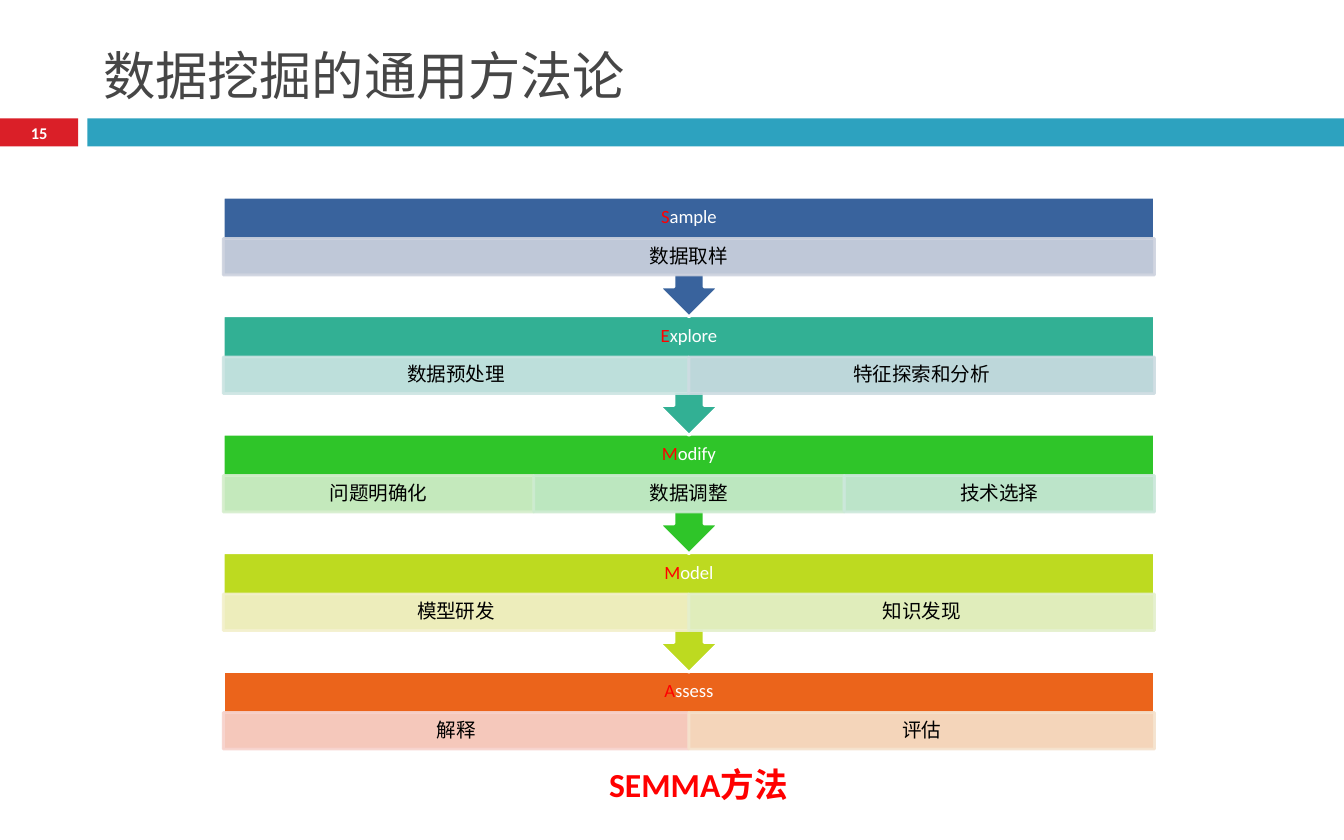
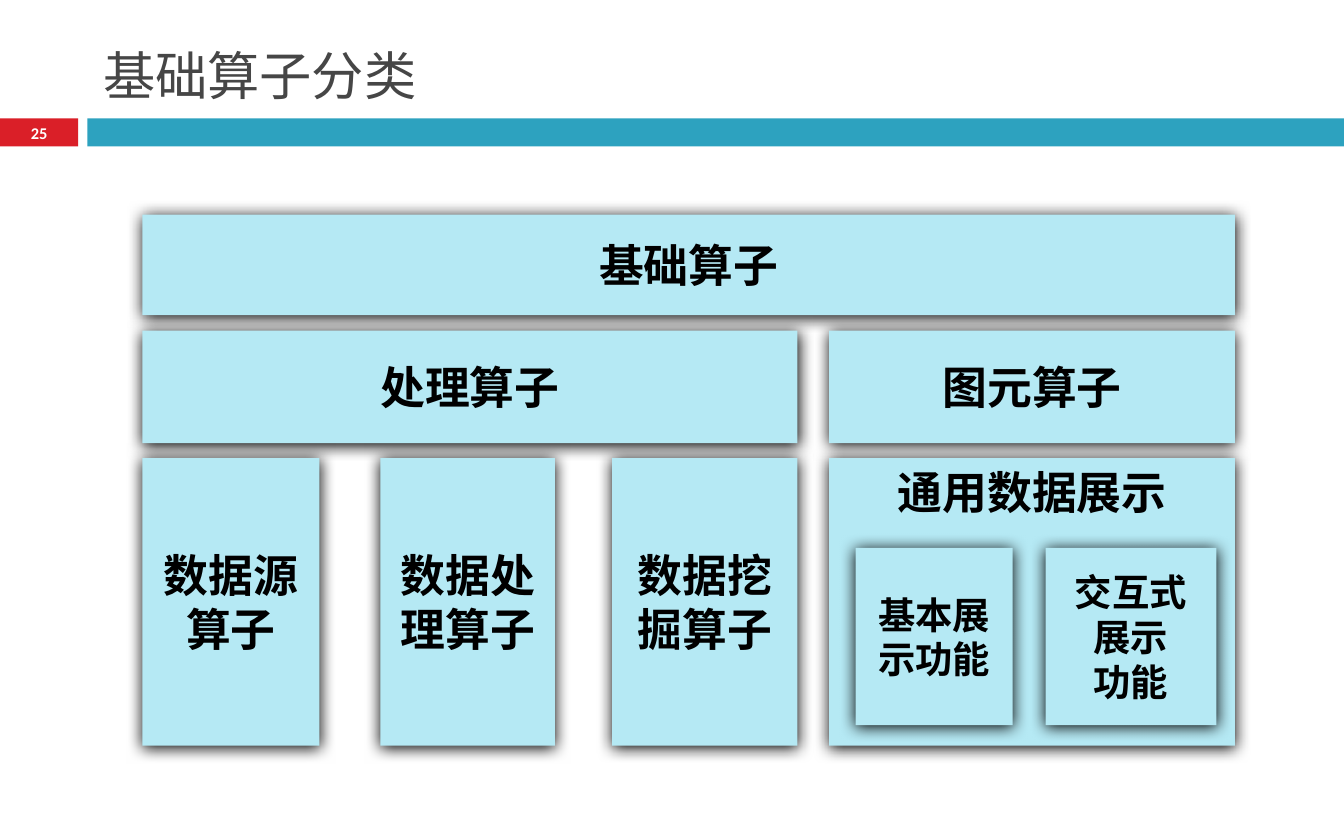
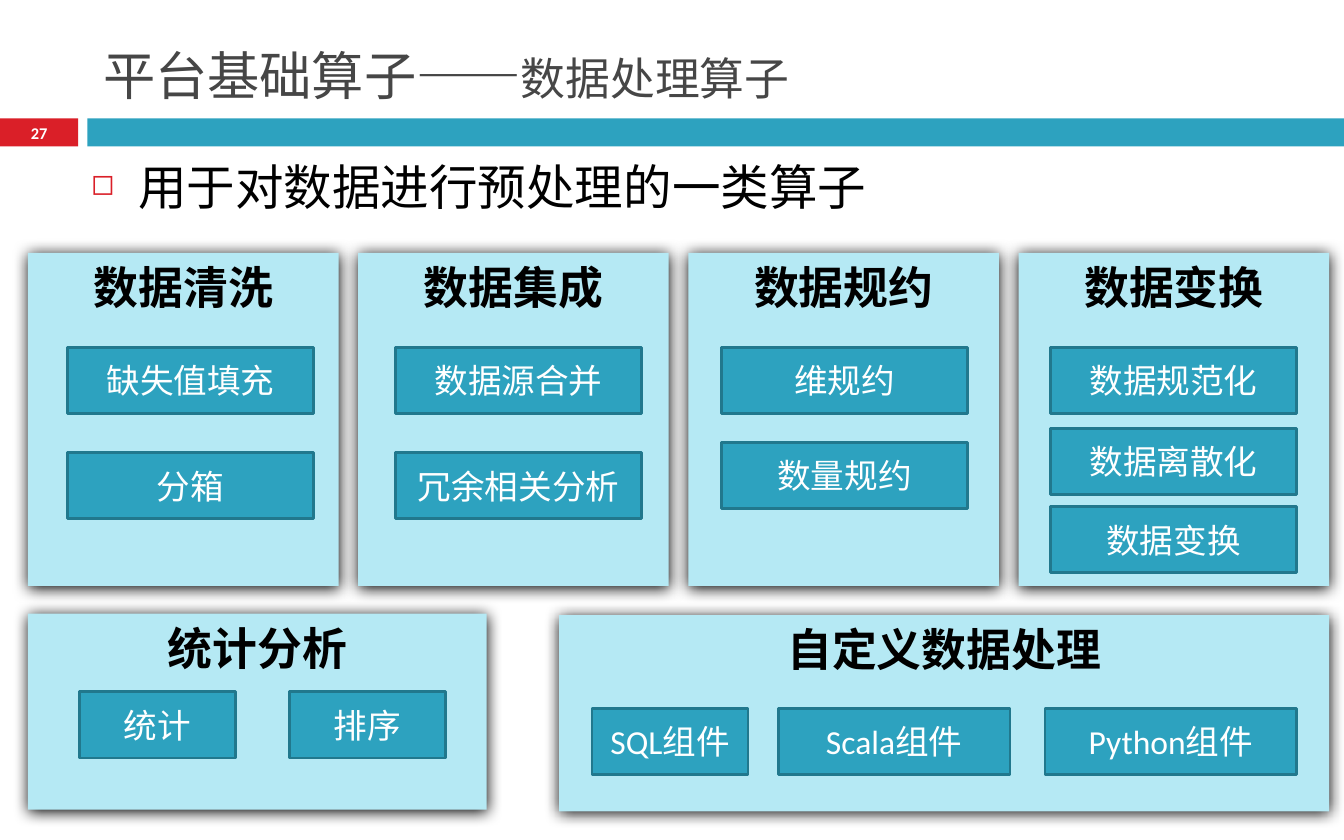
from pptx import Presentation
from pptx.dml.color import RGBColor
from pptx.enum.shapes import MSO_SHAPE
from pptx.enum.text import MSO_ANCHOR, PP_ALIGN
from pptx.oxml.ns import qn
from pptx.util import Cm, Pt
from lxml import etree

RECT, CALLOUT = MSO_SHAPE.RECTANGLE, MSO_SHAPE.UP_ARROW_CALLOUT
TOP, MIDDLE, BOTTOM = MSO_ANCHOR.TOP, MSO_ANCHOR.MIDDLE, MSO_ANCHOR.BOTTOM
LEFT, CENTER = PP_ALIGN.LEFT, PP_ALIGN.CENTER

# Shared style; all lengths are in cm
LATIN, CJK = "Calibri", "Noto Sans CJK SC"
RED, TEAL, TEAL_DARK, PALE = "DA1F28", "2DA2BF", "21788D", "B5E9F4"
WHITE, BLACK, GREY, BRIGHT_RED = "FFFFFF", "000000", "464646", "FF0000"
INSETS = (0.25, 0.13)

# Slide 15: step name, colour, details as (text, tint)
SEMMA_STEPS = [
    ("Sample", "39639D", [("数据取样", "CED3DF")]),
    ("Explore", "32B094", [("数据预处理", "CDE5E3"), ("特征探索和分析", "CDDCE2")]),
    ("Modify", "2FC529", [("问题明确化", "D5EECC"), ("数据调整", "CCEBD0"),
                          ("技术选择", "CCE8DB")]),
    ("Model", "BDDA20", [("模型研发", "F3F0CC"), ("知识发现", "E4F0CC")]),
    ("Assess", "EB641B", [("解释", "F7D3CD"), ("评估", "F5E2CC")]),
]
STEP_LEFT, STEP_TOP, STEP_WIDTH, STEP_PITCH = 4.22, 3.73, 17.6, 2.24
CALLOUT_HEIGHT, LAST_HEIGHT = 2.26, 1.47
HEADER_HEIGHT, DETAIL_HEIGHT = 0.78, 0.69

# Slide 25: lines, box, text size, anchor
OPERATOR_CARDS = [
    (["基础算子"], (2.69, 4.06, 20.65, 1.9), 24, MIDDLE),
    (["处理算子"], (2.69, 6.25, 12.38, 2.13), 24, MIDDLE),
    (["数据源", "算子"], (2.69, 8.66, 3.35, 5.44), 24, MIDDLE),
    (["数据处理算子"], (7.19, 8.66, 3.3, 5.44), 24, MIDDLE),
    (["数据挖掘算子"], (11.57, 8.66, 3.5, 5.44), 24, MIDDLE),
    (["图元算子"], (15.67, 6.25, 7.67, 2.13), 24, MIDDLE),
    (["通用数据展示"], (15.67, 8.66, 7.67, 5.44), 24, TOP),
    (["基本展示功能"], (16.17, 10.36, 2.97, 3.35), 20, MIDDLE),
    (["交互式展示", "功能"], (19.76, 10.36, 3.23, 3.35), 20, MIDDLE),
]

# Slide 27: upper panels as title, button left, buttons (text, top)
UPPER_PANELS = [
    ("数据清洗", 1.27, [("缺失值填充", 6.57), ("分箱", 8.56)]),
    ("数据集成", 7.47, [("数据源合并", 6.57), ("冗余相关分析", 8.56)]),
    ("数据规约", 13.63, [("维规约", 6.57), ("数量规约", 8.36)]),
    ("数据变换", 19.85, [("数据规范化", 6.57), ("数据离散化", 8.1), ("数据变换", 9.58)]),
]
PANEL_LEFT, PANEL_TOP, PANEL_WIDTH, PANEL_HEIGHT, PANEL_PITCH = 0.53, 4.78, 5.87, 6.3, 6.24
BUTTON_WIDTH, BUTTON_HEIGHT = 4.66, 1.25
# Lower panels as title, box, button top, buttons (text, left, width)
LOWER_PANELS = [
    ("统计分析", (0.53, 11.6, 8.67, 3.71), 13.08,
     [("统计", 1.5, 2.95), ("排序", 5.47, 2.95)]),
    ("自定义数据处理", (10.57, 11.63, 14.55, 3.71), 13.39,
     [("SQL组件", 11.19, 2.95), ("Scala组件", 14.71, 4.38), ("Python组件", 19.75, 4.76)]),
]


def rgb(color):
    return RGBColor.from_string(color)


def add_xml(parent, tag, **attributes):
    return etree.SubElement(parent, qn(tag), attributes)


def add_shape(shapes, box, fill, line=None, kind=RECT, alpha=None):
    sp = shapes.add_shape(kind, *map(Cm, box))
    sp.shadow.inherit = False
    sp.fill.solid()
    sp.fill.fore_color.rgb = rgb(fill)
    if line:
        sp.line.color.rgb = rgb(line)
        sp.line.width = Pt(1.5)
    else:
        sp.line.fill.background()
    if alpha:
        for color in sp.element.spPr.iter(qn("a:srgbClr")):
            add_xml(color, "a:alpha", val=str(alpha * 1000))
    return sp


def write(sp, lines, font=LATIN, bold=False, align=CENTER, anchor=MIDDLE,
          insets=INSETS, spacing=None):
    """Fill a shape with lines, each a list of (text, size, colour) runs."""
    tf = sp.text_frame
    tf.word_wrap = True
    tf.vertical_anchor = anchor
    tf.margin_left = tf.margin_right = Cm(insets[0])
    tf.margin_top = tf.margin_bottom = Cm(insets[1])
    for i, runs in enumerate(lines):
        p = tf.add_paragraph() if i else tf.paragraphs[0]
        p.alignment = align
        if spacing:
            p.line_spacing = spacing
        for text, size, color in runs:
            r = p.add_run()
            r.text = text
            r.font.size, r.font.bold, r.font.name = Pt(size), bold, font
            r.font.color.rgb = rgb(color)
            add_xml(r.font._element, "a:ea", typeface=CJK)
    return tf


def add_text(shapes, box, lines, **style):
    return write(shapes.add_textbox(*map(Cm, box)), lines, **style)


def add_card(s, lines, box, size=24, anchor=TOP):
    sp = add_shape(s.shapes, box, PALE)
    effects = sp.element.spPr.find(qn("a:effectLst"))
    shadow = add_xml(effects, "a:outerShdw", blurRad=str(Pt(8.5)), dist=str(Pt(1)),
                     dir="5400000", algn="ctr", rotWithShape="0")
    add_xml(shadow, "a:srgbClr", val=BLACK)
    write(sp, [[(line, size, BLACK)] for line in lines], bold=True, anchor=anchor)


def add_button(s, text, left, top, width=BUTTON_WIDTH):
    sp = add_shape(s.shapes, (left, top, width, BUTTON_HEIGHT), TEAL, TEAL_DARK)
    write(sp, [[(text, 18, WHITE)]])


def new_slide(prs, number, *title_runs):
    s = prs.slides.add_slide(prs.slide_layouts[6])
    add_shape(s.shapes, (0, 2.24, 1.48, 0.53), RED)
    add_shape(s.shapes, (1.65, 2.24, 23.75, 0.53), TEAL)
    add_text(s.shapes, (0, 2.24, 1.48, 0.56), [[(number, 8.8, WHITE)]], bold=True)
    add_text(s.shapes, (1.7, 0.36, 22.65, 1.78),
             [[(text, size, GREY) for text, size in title_runs]],
             font=CJK, align=LEFT, anchor=BOTTOM)
    return s


def build_semma(prs):
    s = new_slide(prs, "15", ("数据挖掘的通用方法论", 28))
    shapes = s.shapes.add_group_shape().shapes
    last = len(SEMMA_STEPS) - 1
    # Later steps lie behind, so each arrow tip overlaps the next header
    for i, (name, color, details) in reversed(list(enumerate(SEMMA_STEPS))):
        top = STEP_TOP + i * STEP_PITCH
        if i == last:
            add_shape(shapes, (STEP_LEFT, top, STEP_WIDTH, LAST_HEIGHT), color, WHITE)
        else:
            sp = add_shape(shapes, (STEP_LEFT, top, STEP_WIDTH, CALLOUT_HEIGHT),
                           color, WHITE, CALLOUT)
            sp.rotation = 180
        add_text(shapes, (STEP_LEFT, top, STEP_WIDTH, HEADER_HEIGHT),
                 [[(name[0], 10, BRIGHT_RED), (name[1:], 10, WHITE)]],
                 insets=(0.2, 0.2), spacing=0.9)
        width = STEP_WIDTH / len(details)
        for j, (text, tint) in enumerate(details):
            box = (STEP_LEFT + j * width, top + HEADER_HEIGHT, width, DETAIL_HEIGHT)
            sp = add_shape(shapes, box, tint, tint, alpha=90)
            write(sp, [[(text, 10.5, BLACK)]], insets=(0.23, 0.05), spacing=0.9)
    add_text(s.shapes, (8.5, 14.32, 9.4, 1.02), [[("SEMMA方法", 18, BRIGHT_RED)]],
             bold=True, anchor=TOP)


def build_operators(prs):
    s = new_slide(prs, "25", ("基础算子分类", 28))
    for card in OPERATOR_CARDS:
        add_card(s, *card)


def build_processing(prs):
    s = new_slide(prs, "27", ("平台基础算子——", 28), ("数据处理算子", 24))

    # Bulleted introduction
    tf = add_text(s.shapes, (1.47, 2.84, 22.65, 1.45),
                  [[("用于对数据进行预处理的一类算子", 26, BLACK)]],
                  font=CJK, align=LEFT, anchor=TOP)
    pPr = tf.paragraphs[0]._p.get_or_add_pPr()
    pPr.set("marL", str(Cm(0.89)))
    pPr.set("indent", str(-Cm(0.89)))
    add_xml(add_xml(pPr, "a:buClr"), "a:srgbClr", val=RED)
    add_xml(pPr, "a:buSzPct", val="60000")
    add_xml(pPr, "a:buChar", char="◻")

    # Panels with their buttons
    for i, (title, left, buttons) in enumerate(UPPER_PANELS):
        add_card(s, [title], (PANEL_LEFT + i * PANEL_PITCH, PANEL_TOP,
                              PANEL_WIDTH, PANEL_HEIGHT))
        for text, top in buttons:
            add_button(s, text, left, top)
    for title, box, top, buttons in LOWER_PANELS:
        add_card(s, [title], box)
        for text, left, width in buttons:
            add_button(s, text, left, top, width)


def main():
    prs = Presentation()
    prs.slide_width, prs.slide_height = Cm(25.4), Cm(15.88)
    build_semma(prs)
    build_operators(prs)
    build_processing(prs)
    prs.save("out.pptx")


if __name__ == "__main__":
    main()
